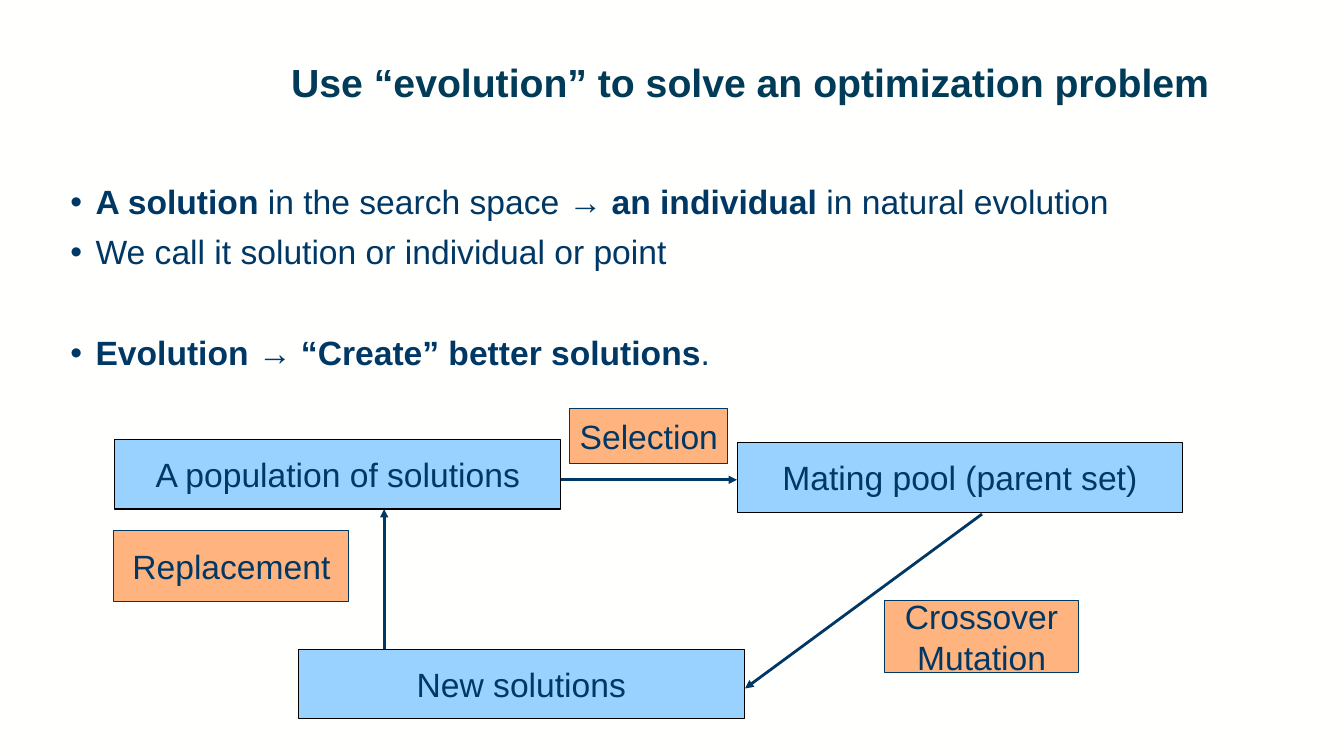
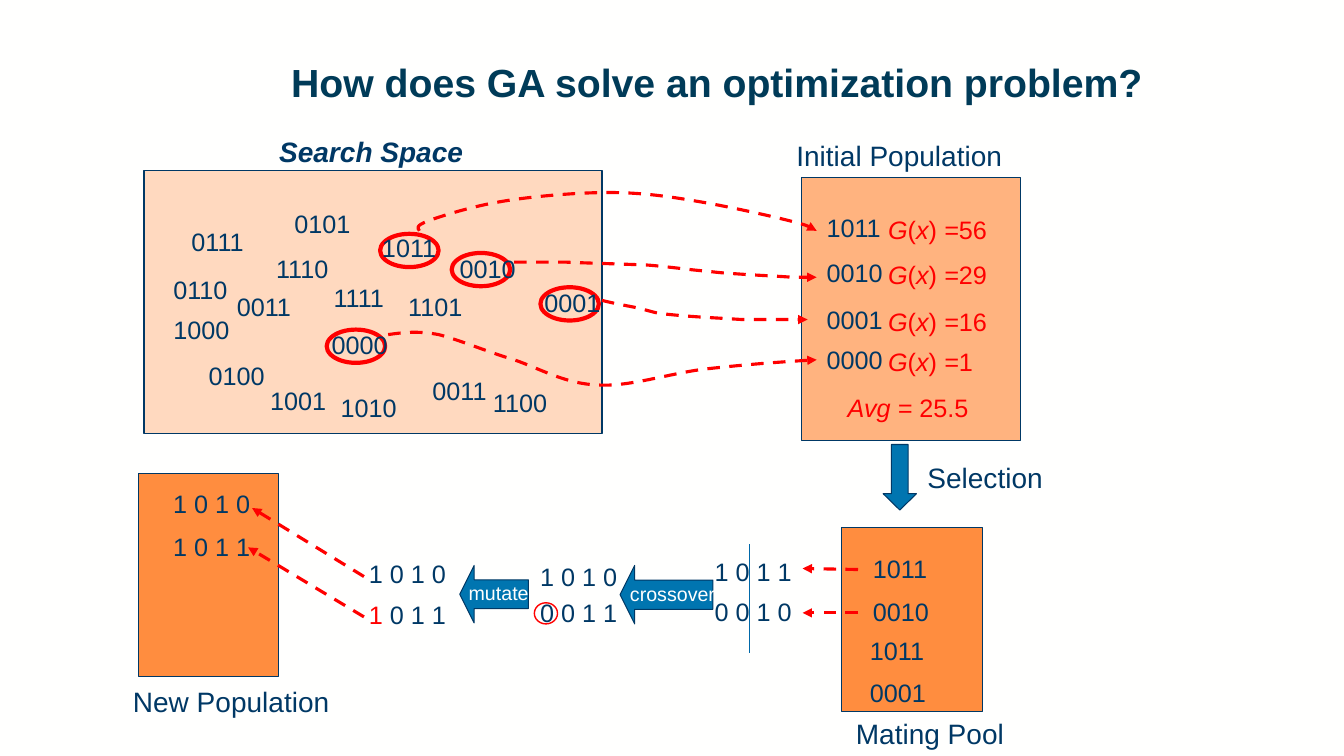
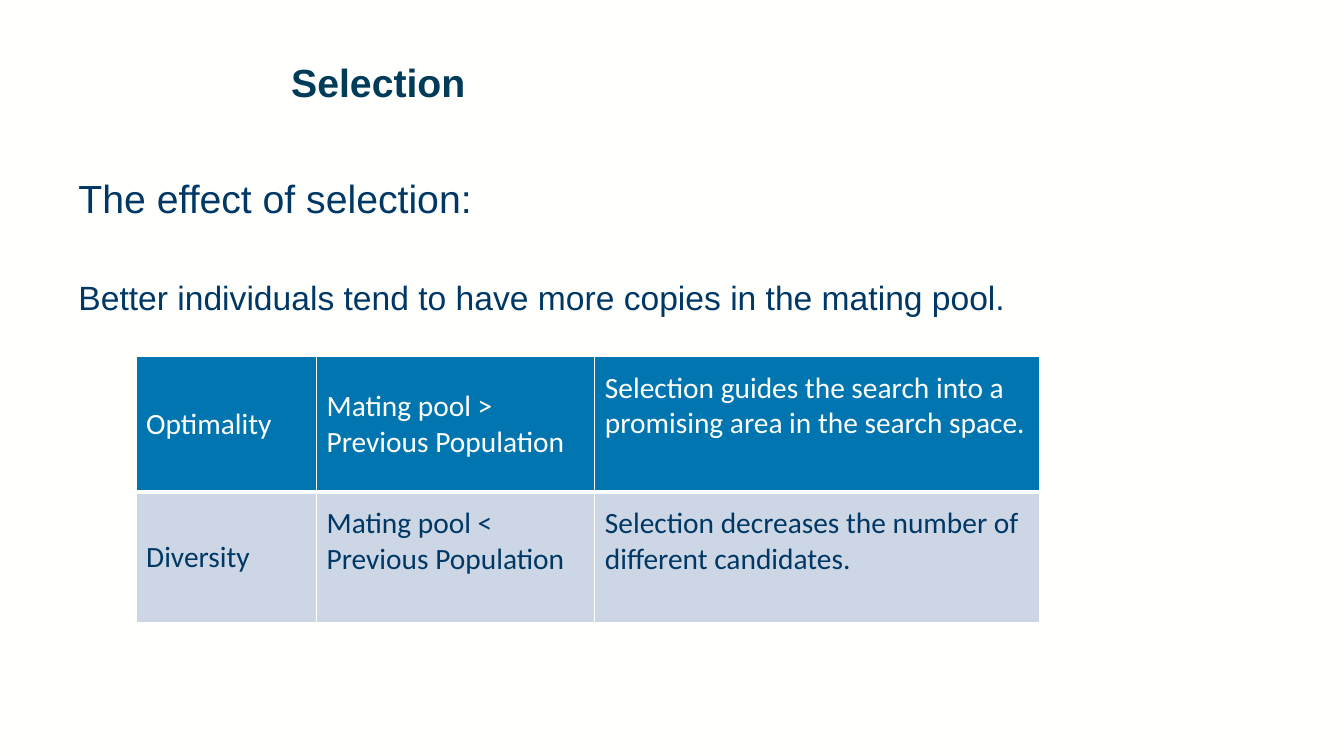
from lxml import etree
from pptx import Presentation
from pptx import util as u
from pptx.dml.color import RGBColor
from pptx.enum import dml, shapes, text
from pptx.oxml.ns import qn

C = {
    "ink": "003865", "title": "003B58", "paper": "FFFFFE", "black": "000000",
    "red": "FF0000", "blue": "0075B0", "sky": "99D1FF", "rule": "0068A9",
    "orange": "FF8D3F", "apricot": "FFB37F", "peach": "FFD9BF", "mist": "CCD6E4",
}
COL = ROW = u.Inches(0.1)  # every length below counts these grid cells
KIND = shapes.MSO_SHAPE
CENTER = text.PP_ALIGN.CENTER


def put(s, kind, x, y, w, h, content="", size=18, color="ink", fill=None,
        line=None, width=0.75, align=None, mark=None):
    """Add a shape, or a text box if kind is None.

    A line break starts a paragraph and "|" starts a run;
    mark ("bold" or "italic") is set on every other run, from the first.
    """
    at = (round(x * COL), round(y * ROW), round(w * COL), round(h * ROW))
    if kind is None:
        sp = s.shapes.add_textbox(*at)
    else:
        sp = s.shapes.add_shape(kind, *at)
        sp.shadow.inherit = False
        sp.line.color.rgb = RGBColor.from_string(C[line])
        sp.line.width = u.Pt(width)
        if fill:
            sp.fill.solid()
            sp.fill.fore_color.rgb = RGBColor.from_string(C[fill])
        else:
            sp.fill.background()
    tf = sp.text_frame
    tf.word_wrap = kind is None
    for i, row in enumerate(content.split("\n") if content else []):
        p = tf.add_paragraph() if i else tf.paragraphs[0]
        p.alignment = align
        for j, part in enumerate(row.split("|")):
            if not part:
                continue
            r = p.add_run()
            r.text = part
            r.font.name, r.font.size = "Arial", u.Pt(size)
            r.font.color.rgb = RGBColor.from_string(C[color])
            if mark:
                setattr(r.font, mark, j % 2 == 0)
    return sp


def draw(s, points, color, width, dash=False, arrow=True):
    """Draw a straight line through two points, or a Bezier curve through more."""
    pts = [(round(x * COL), round(y * ROW)) for x, y in points]
    if len(pts) == 2:
        sp = s.shapes.add_connector(shapes.MSO_CONNECTOR.STRAIGHT, *pts[0], *pts[1])
    else:
        fb = s.shapes.build_freeform(*pts[0])
        fb.add_line_segments(pts[1:], close=False)
        sp = fb.convert_to_shape()
        sp.fill.background()
        # each three straight segments become one cubic segment
        legs = list(sp._element.iter(qn("a:lnTo")))
        for i in range(0, len(legs), 3):
            curve = etree.Element(qn("a:cubicBezTo"))
            legs[i].addprevious(curve)
            for leg in legs[i:i + 3]:
                curve.append(leg[0])
                leg.getparent().remove(leg)
    sp.line.color.rgb = RGBColor.from_string(C[color])
    sp.line.width = u.Pt(width)
    if dash:
        sp.line.dash_style = dml.MSO_LINE.DASH
    spPr = sp._element.spPr
    if arrow:
        etree.SubElement(spPr.find(qn("a:ln")), qn("a:tailEnd"), type="triangle")
    etree.SubElement(spPr, qn("a:effectLst"))


# Deck: size, background, titles
prs = Presentation()
prs.slide_width, prs.slide_height = u.Inches(13.33), u.Inches(7.5)
bg = prs.slide_master.background.fill
bg.solid()
bg.fore_color.rgb = RGBColor.from_string(C["paper"])

slides = []
for title in ("Use “evolution” to solve an optimization problem",
              "How does GA solve an optimization problem?",
              "Selection"):
    s = prs.slides.add_slide(prs.slide_layouts[6])
    sp = put(s, None, 27.9, 5.8, 100.7, 9.7, title, 28, "title", mark="bold")
    sp.text_frame.paragraphs[0].line_spacing = 0.9
    slides.append(s)

# Slide 1: bullets
s = slides[0]
sp = put(s, None, 6, 17.9, 111.4, 22.7,
         "A solution |in the search space → |an individual |in natural evolution\n"
         "|We call it solution or individual or point\n"
         "Evolution |→ |“Create” better solutions|.", 24, mark="bold")
for p, before in zip(sp.text_frame.paragraphs, (0, 10, 46)):
    pPr = p._p.get_or_add_pPr()
    pPr.set("marL", str(u.Inches(0.25)))
    pPr.set("indent", str(-u.Inches(0.25)))
    etree.SubElement(pPr, qn("a:buFont"), typeface="Arial")
    etree.SubElement(pPr, qn("a:buChar"), char="•")
    p.line_spacing = 0.9
    p.space_before = u.Pt(before)

# Slide 1: evolution cycle
for start, end in (((55.6, 47.6), (73.1, 47.6)),
                   ((97.4, 51), (73.9, 68.3)),
                   ((38.1, 64.4), (38.1, 50.5))):
    draw(s, (start, end), "ink", 2)
for x, y, label in ((11.4, 43.6, "A population of solutions"),
                    (73.1, 43.9, "Mating pool (parent set)"),
                    (29.6, 64.4, "New solutions")):
    put(s, KIND.RECTANGLE, x, y, 44.2, 6.9, label, 24,
        fill="sky", line="black", align=CENTER)
for x, y, w, h, label in ((56.5, 40.5, 15.7, 5.5, "Selection"),
                          (87.7, 59.6, 19.3, 7.1, "Crossover\nMutation"),
                          (11.3, 52.6, 23.3, 7.1, "Replacement")):
    put(s, KIND.RECTANGLE, x, y, w, h, label, 24,
        fill="apricot", line="ink", align=CENTER)

# Slide 2: panels and their captions
s = slides[1]
for x, y, w, h, fill, width in ((83.5, 52.3, 13.9, 18.3, "orange", 0.75),
                                (13.7, 47, 13.9, 20.1, "orange", 0.75),
                                (79.5, 17.6, 21.7, 26.1, "apricot", 1),
                                (14.3, 16.9, 45.4, 26.1, "peach", 1)):
    put(s, KIND.RECTANGLE, x, y, w, h, fill=fill, line="ink", width=width)
for x, y, w, caption in ((78, 13.3, 25.8, "Initial Population"),
                         (12.2, 67.4, 27.3, "New Population"),
                         (83.9, 70.6, 22.4, "Mating Pool"),
                         (91, 45.2, 13.6, "Selection")):
    put(s, None, x, y, w, 4.4, caption, 20)
sp = put(s, None, 26.7, 12.9, 25.8, 4.3, "Search Space", 20, mark="bold")
sp.text_frame.paragraphs[0].runs[0].font.italic = True

# Slide 2: block arrows
for kind, x, y, w, h, head in ((KIND.LEFT_ARROW, 61.5, 56.1, 9.2, 5.8, 0.25),
                               (KIND.LEFT_ARROW, 45.6, 56.1, 6.8, 5.7, 0.25),
                               (KIND.DOWN_ARROW, 87.6, 44.1, 3.3, 6.5, 0.49)):
    sp = put(s, kind, x, y, w, h, fill="blue", line="ink")
    sp.adjustments[0], sp.adjustments[1] = 0.5, head
put(s, None, 61.5, 57.2, 11.4, 3.4, "crossover", 14, "paper")
put(s, None, 45.5, 57.1, 8, 3.4, "mutate", 14, "paper")

# Slide 2: sampled candidates and their paths to the initial population
for points in (
        ((41.6, 22.9), (41.4, 22.6), (41.2, 22.4), (42.5, 21.9), (43.9, 21.4),
         (46.7, 20.5), (49.7, 20), (52.6, 19.5), (57.1, 19.1), (60.4, 19.1),
         (63.7, 19.1), (66.4, 19.5), (69.3, 20), (72.3, 20.5), (76.3, 21.4),
         (78.3, 21.9), (80.2, 22.4), (80.6, 22.6), (81, 22.9)),
        ((51, 26), (52.4, 26), (53.7, 26), (56, 26), (58.2, 26.1), (61.9, 26.2),
         (64.3, 26.3), (66.7, 26.5), (68.6, 26.8), (70.1, 26.9), (71.7, 27.1),
         (72.1, 27.1), (73.5, 27.2), (74.9, 27.3), (77.2, 27.4), (78.5, 27.5),
         (79.7, 27.5), (80.3, 27.5), (81, 27.5)),
        ((59.7, 29.8), (60.9, 30.1), (62, 30.3), (63, 30.5), (63.9, 30.7),
         (64.5, 30.9), (65.4, 31.1), (66.4, 31.2), (67.3, 31.3), (68.7, 31.4),
         (70.1, 31.5), (72.1, 31.6), (73.6, 31.7), (75.1, 31.7), (76.6, 31.7),
         (77.7, 31.7), (78.8, 31.7), (79.4, 31.7), (80.1, 31.7)),
        ((38.5, 33.2), (39.9, 33), (41.4, 32.8), (43.5, 33.2), (45.5, 33.7),
         (48.3, 34.9), (51, 35.7), (53.6, 36.6), (56.1, 38.1), (59.3, 38.2),
         (62.5, 38.4), (66.5, 37), (70.1, 36.6), (73.7, 36.2), (77.4, 35.9),
         (81, 35.7))):
    draw(s, points, "red", 2.25, dash=True)
for x, y in ((44.8, 25.1), (53.6, 28.5), (37.7, 23.2), (32.4, 32.7)):
    put(s, KIND.OVAL, x, y, 5.8, 3.3, line="red", width=3)
for x, y, code in (
        (36.9, 22.6, "1011"), (44.6, 24.6, "0010"), (19.7, 35.3, "0100"),
        (53, 28, "0001"), (18, 22, "0111"), (22.5, 28.4, "0011"),
        (41.9, 36.7, "0011"), (31.9, 32.2, "0000"), (28.2, 20.2, "0101"),
        (16.2, 26.7, "0110"), (16.2, 30.7, "1000"), (25.8, 37.7, "1001"),
        (32.8, 38.4, "1010"), (32.1, 27.5, "1111"), (26.4, 24.6, "1110"),
        (39.5, 28.4, "1101"), (47.9, 37.9, "1100")):
    put(s, None, x, y, 8.5, 4, code)

# Slide 2: initial population with fitness
for y, code, fitness in ((20.6, "1011", 56), (25, "0010", 29),
                         (29.7, "0001", 16), (33.7, "0000", 1)):
    put(s, None, 81, y, 8.3, 4, code)
    put(s, None, 87.1, y + 0.2, 15, 4, f"G|(|x|)| =|{fitness}",
        color="red", mark="italic")
put(s, None, 83.1, 38.4, 17.3, 4, "Avg = |25.5", color="red", mark="italic")

# Slide 2: mating pool, crossover, mutation and new population
for x, y, code in ((85.6, 54.4, "1011"), (85.6, 58.7, "0010"),
                   (85.3, 62.5, "1011"), (85.3, 66.7, "0001"),
                   (69.9, 54.7, "1 0 1 1"), (69.9, 58.7, "0 0 1 0"),
                   (52.6, 55.2, "1 0 1 0"), (52.6, 58.8, "0 0 1 1"),
                   (35.6, 54.9, "1 0 1 0"),
                   (16.2, 48, "1 0 1 0"), (16.2, 52.2, "1 0 1 1")):
    put(s, None, x, y, 12, 4, code)
sp = put(s, None, 35.6, 59, 11.1, 4, "1| 0 1 1")
sp.text_frame.paragraphs[0].runs[0].font.color.rgb = RGBColor.from_string(C["red"])
put(s, KIND.OVAL, 53, 59.8, 2.3, 2.1, line="red", width=1)
draw(s, ((74.3, 54), (74.3, 64.8)), "rule", 0.25, arrow=False)
for start, end in (((85.1, 56.5), (79.6, 56.4)), ((85.1, 60.8), (79.6, 60.8)),
                   ((36.1, 57.2), (25, 50.4)), ((36.1, 61.2), (24.6, 54.3))):
    draw(s, (start, end), "red", 2.25, dash=True)

# Slide 3: statement
s = slides[2]
sp = put(s, None, 6.8, 16.8, 107.8, 15.4,
         "The effect of selection:\n"
         "Better individuals tend to have more copies in the mating pool.", 28)
p = sp.text_frame.paragraphs[1]
p.space_before = u.Pt(40)
p.runs[0].font.size = u.Pt(24)

# Slide 3: table
rows = (("Optimality", "Mating pool > Previous Population",
         "Selection guides the search into a promising area in the search space."),
        ("Diversity", "Mating pool < Previous Population",
         "Selection decreases the number of different candidates."))
raised = {(0, 2), (1, 1), (1, 2)}  # cells whose text starts near the top
tb = s.shapes.add_table(2, 3, round(13.5 * COL), round(35.4 * ROW),
                        round(89.6 * COL), round(26.4 * ROW)).table
tb.first_row = tb.horz_banding = False
for col, w in zip(tb.columns, (17.9, 27.6, 44.1)):
    col.width = round(w * COL)
for i, (h, fill, color) in enumerate(((13.4, "blue", "paper"), (13, "mist", "ink"))):
    tb.rows[i].height = round(h * ROW)
    for j, words in enumerate(rows[i]):
        cell = tb.cell(i, j)
        cell.text_frame.text = words
        font = cell.text_frame.paragraphs[0].runs[0].font
        font.name, font.size = "Calibri", u.Pt(21)
        font.color.rgb = RGBColor.from_string(C[color])
        cell.vertical_anchor = text.MSO_ANCHOR.MIDDLE
        if (i, j) in raised:
            cell.vertical_anchor = text.MSO_ANCHOR.TOP
            cell.margin_top = u.Inches(0.13)
        tcPr = cell._tc.get_or_add_tcPr()
        for side in "LRTB":
            thick = (i, side) in ((0, "B"), (1, "T"))
            ln = etree.SubElement(tcPr, qn("a:ln" + side), w=str(u.Pt(3 if thick else 1)))
            paint = etree.SubElement(ln, qn("a:solidFill"))
            etree.SubElement(paint, qn("a:srgbClr"), val=C["paper"])
        cell.fill.solid()
        cell.fill.fore_color.rgb = RGBColor.from_string(C[fill])

prs.save("out.pptx")
